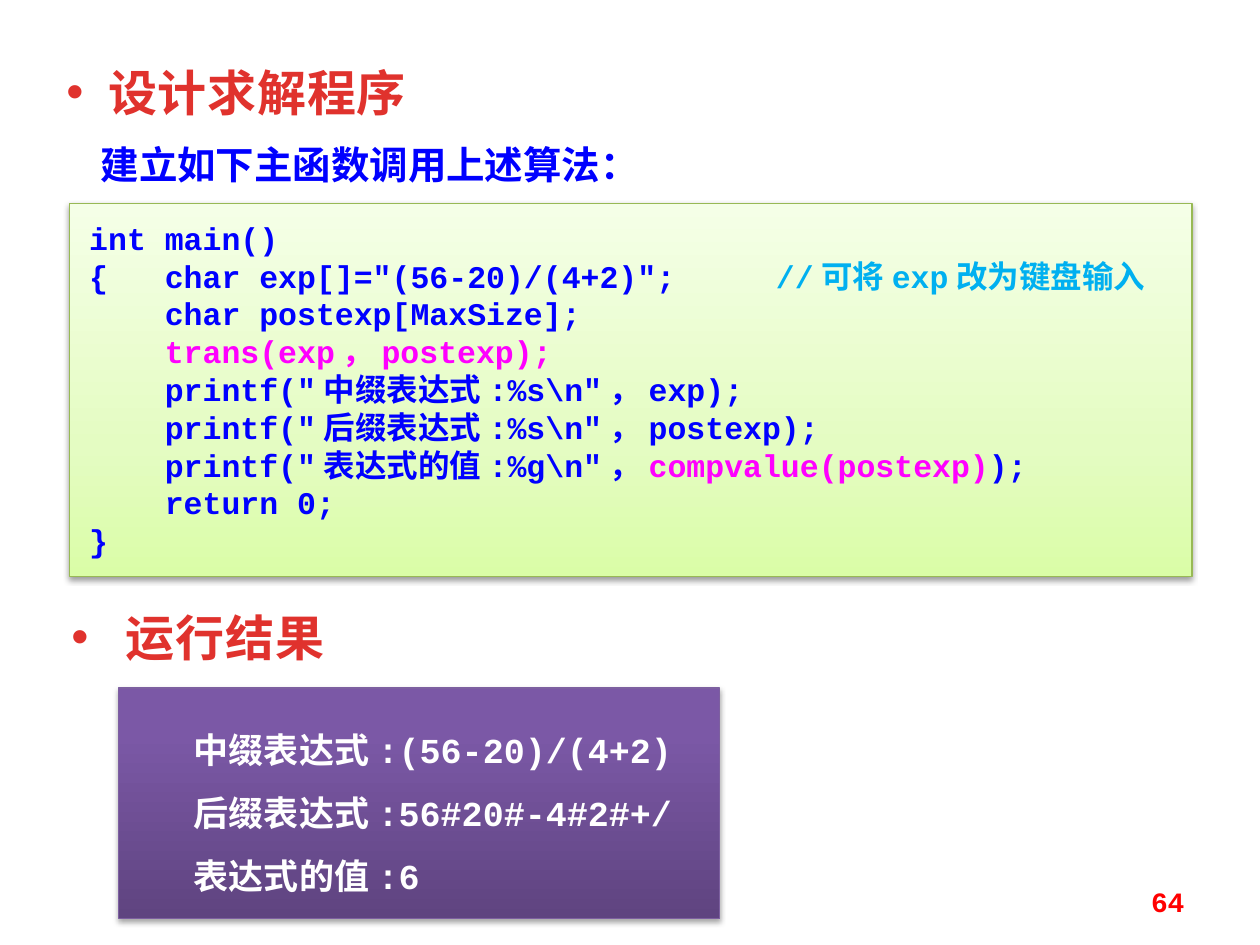
from lxml import etree
from pptx import Presentation
from pptx import util as u
from pptx.dml.color import RGBColor
from pptx.enum import shapes, text
from pptx.oxml import parse_xml
from pptx.oxml.ns import nsdecls, qn

# Colours and fonts
RED = RGBColor(0xE0, 0x32, 0x2D)
BLUE = RGBColor(0x00, 0x00, 0xFF)
SKY = RGBColor(0x00, 0xB0, 0xF0)
MAGENTA = RGBColor(0xFF, 0x00, 0xFF)
WHITE = RGBColor(0xFF, 0xFF, 0xFF)
PURE_RED = RGBColor(0xFF, 0x00, 0x00)
GREEN_LINE = RGBColor(0x98, 0xB9, 0x55)
PURPLE_LINE = RGBColor(0x7D, 0x60, 0xA0)
GREEN_STOPS = [(0, "DAFDA7"), (35, "E4FCC2"), (100, "F5FFE7")]
PURPLE_STOPS = [(0, "5F4480"), (80, "7B58A6"), (100, "7C57A8")]
MONO, SERIF, CHINESE = "Courier New", "Times New Roman", "Noto Sans CJK SC"

# Content: each line is a list of (text, colour) runs
HEADING = "设计求解程序"
INTRO = "建立如下主函数调用上述算法："
RESULT_HEADING = "运行结果"
PAGE_NUMBER = "64"
CODE = [
    [("int main()", BLUE)],
    [('{   char exp[]="(56-20)/(4+2)";\t', BLUE), ("   //可将exp改为键盘输入", SKY)],
    [("    char postexp[MaxSize];", BLUE)],
    [("    ", BLUE), ("trans(exp，postexp);", MAGENTA)],
    [('    printf("中缀表达式:%s\\n"，exp);', BLUE)],
    [('    printf("后缀表达式:%s\\n"，postexp);', BLUE)],
    [('    printf("表达式的值:%g\\n"，', BLUE), ("compvalue(postexp)", MAGENTA), (");", BLUE)],
    [("    return 0;", BLUE)],
    [("}", BLUE)],
]
RESULTS = ["中缀表达式:(56-20)/(4+2)", "后缀表达式:56#20#-4#2#+/", "表达式的值:6"]


def place(shape, left, top, width, height):
    shape.left, shape.top, shape.width, shape.height = map(u.Cm, (left, top, width, height))


def write(shape, lines, font, size, margins=(0.25, 0.13), spacing=None, wrap=True,
          align=text.PP_ALIGN.LEFT, anchor=text.MSO_ANCHOR.TOP):
    frame = shape.text_frame
    frame.word_wrap = wrap
    frame.auto_size = text.MSO_AUTO_SIZE.NONE
    frame.vertical_anchor = anchor
    frame.margin_left = frame.margin_right = u.Cm(margins[0])
    frame.margin_top = frame.margin_bottom = u.Cm(margins[1])
    for index, line in enumerate(lines):
        paragraph = frame.add_paragraph() if index else frame.paragraphs[0]
        paragraph.alignment = align
        paragraph.line_spacing = spacing
        for words, colour in line:
            run = paragraph.add_run()
            run.text = words
            run.font.name, run.font.size, run.font.bold = font, u.Pt(size), True
            run.font.color.rgb = colour
            east_asian = etree.SubElement(run.font._element, qn("a:ea"))
            east_asian.set("typeface", CHINESE)
    return frame.paragraphs


def indent(paragraph, margin, first_line, bullet=None):
    properties = paragraph._p.get_or_add_pPr()
    properties.set("marL", str(u.Cm(margin)))
    properties.set("indent", str(u.Cm(first_line)))
    if bullet:
        etree.SubElement(properties, qn("a:buFont")).set("typeface", "Arial")
        etree.SubElement(properties, qn("a:buChar")).set("char", bullet)


def write_heading(shape, words, hanging):
    paragraph = write(shape, [[(words, RED)]], CHINESE, 28, wrap=False)[0]
    indent(paragraph, hanging, -hanging, "•")
    for run in paragraph.runs:
        run.font._element.set("spc", "50")


def add_text_box(slide, *box):
    return slide.shapes.add_textbox(*map(u.Cm, box))


def add_panel(slide, box, stops, line, shadow_alpha):
    """Rectangle with a bottom-to-top gradient and a soft shadow below."""
    panel = slide.shapes.add_shape(shapes.MSO_SHAPE.RECTANGLE, *map(u.Cm, box))
    panel.line.color.rgb = line
    panel.line.width = u.Pt(0.75)
    marks = "".join(f'<a:gs pos="{position * 1000}"><a:srgbClr val="{colour}"/></a:gs>'
                    for position, colour in stops)
    gradient = parse_xml(f'<a:gradFill {nsdecls("a")} rotWithShape="1"><a:gsLst>{marks}</a:gsLst>'
                         '<a:lin ang="16200000" scaled="0"/></a:gradFill>')
    shadow = parse_xml(f'<a:effectLst {nsdecls("a")}><a:outerShdw blurRad="39370" dist="20320" '
                       'dir="5400000" rotWithShape="0"><a:srgbClr val="000000">'
                       f'<a:alpha val="{shadow_alpha * 1000}"/></a:srgbClr></a:outerShdw></a:effectLst>')
    properties = panel._element.spPr
    properties.find(qn("a:prstGeom")).addnext(gradient)
    properties.append(shadow)
    return panel


def main():
    presentation = Presentation()
    presentation.slide_width, presentation.slide_height = u.Cm(25.4), u.Cm(19.05)
    slide = presentation.slides.add_slide(presentation.slide_layouts[5])

    # Heading and introduction
    title = slide.shapes.title
    place(title, 1.09, 1.12, 9.22, 1.45)
    write_heading(title, HEADING, 0.84)
    write(add_text_box(slide, 1.78, 2.72, 12.7, 1.19), [[(INTRO, BLUE)]], SERIF, 22)

    # Program listing
    code = add_panel(slide, (1.4, 4.11, 22.63, 7.52), GREEN_STOPS, GREEN_LINE, 38)
    write(code, CODE, MONO, 18, margins=(0.4, 0.3), spacing=u.Pt(21.6))

    # Program output
    write_heading(add_text_box(slide, 1.19, 12.12, 7.65, 1.45), RESULT_HEADING, 1.1)
    output = add_panel(slide, (2.39, 13.87, 12.12, 4.65), PURPLE_STOPS, PURPLE_LINE, 35)
    lines = [[(words, WHITE)] for words in RESULTS]
    for paragraph in write(output, lines, MONO, 20, margins=(0.25, 0.4), spacing=u.Pt(36)):
        indent(paragraph, 0, 1.27)

    # Page number
    write(add_text_box(slide, 18.21, 17.65, 5.92, 1.02), [[(PAGE_NUMBER, PURE_RED)]], MONO, 16,
          align=text.PP_ALIGN.RIGHT, anchor=text.MSO_ANCHOR.MIDDLE)

    presentation.save("out.pptx")


if __name__ == "__main__":
    main()
